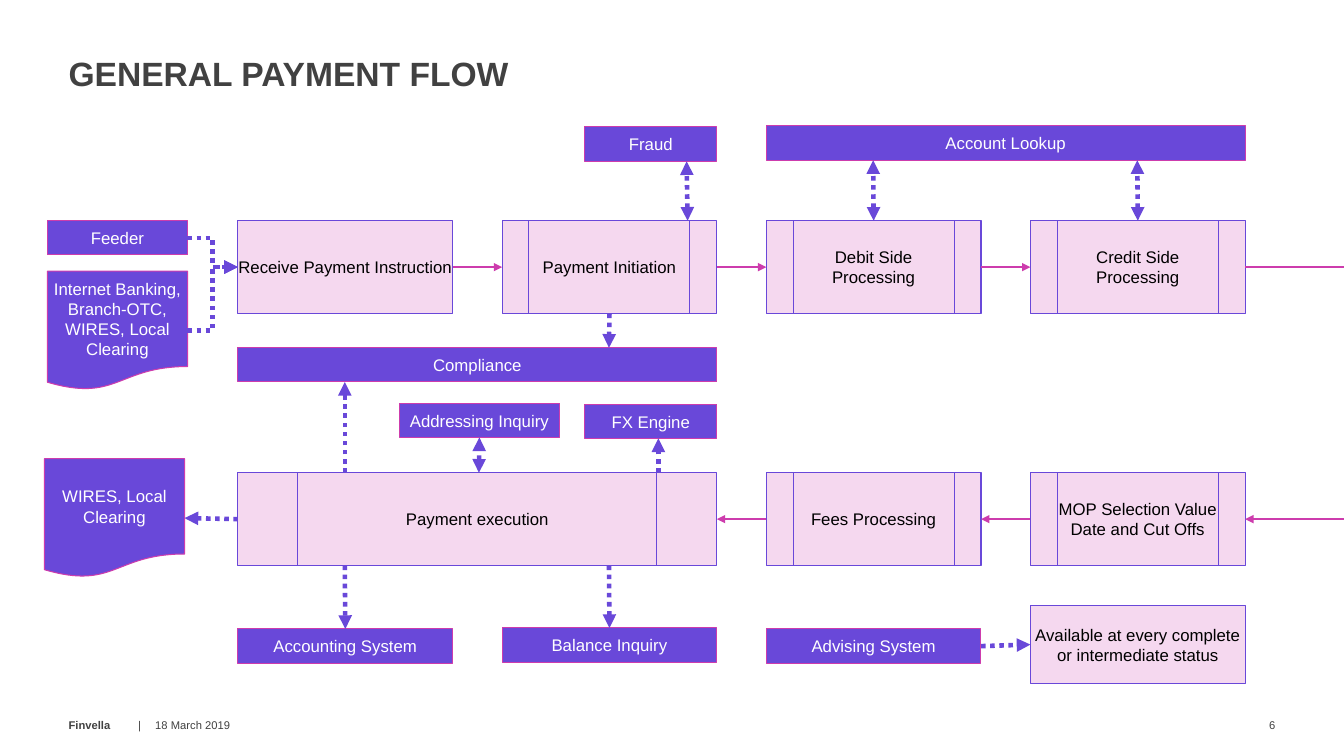
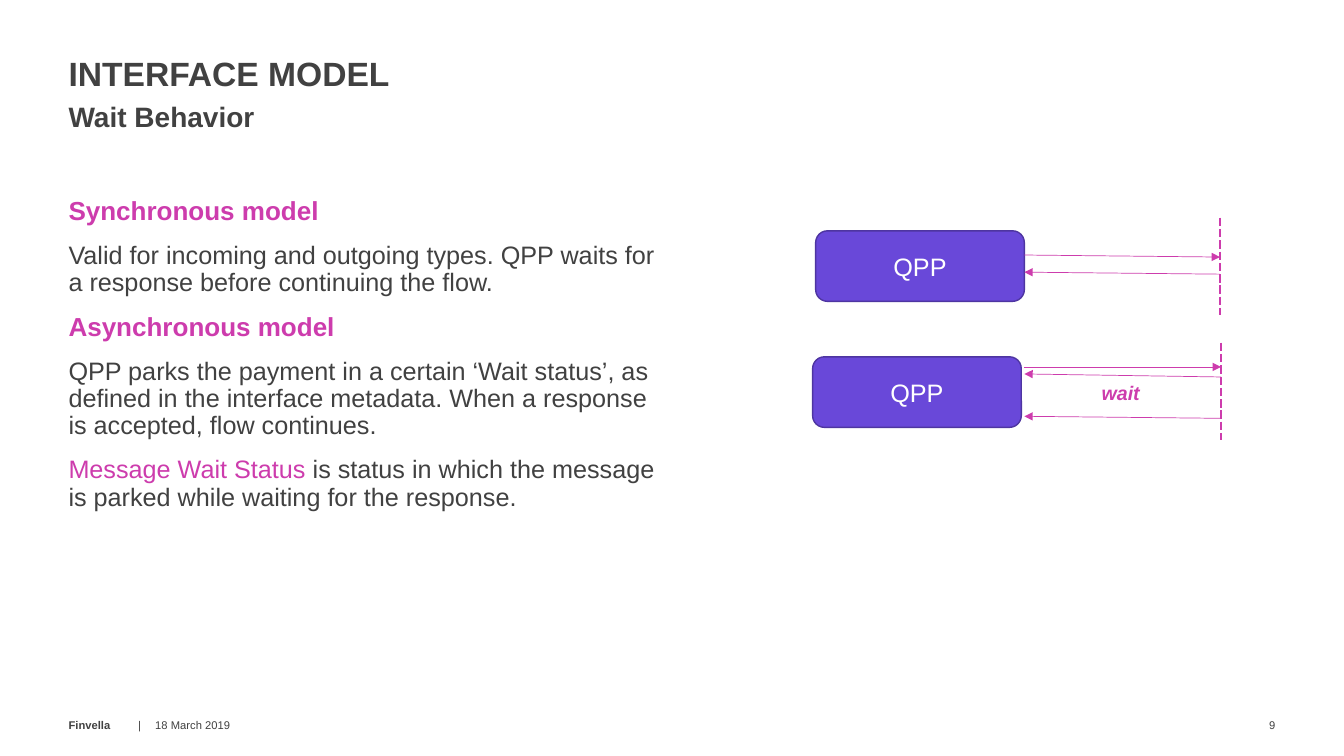
from lxml import etree
from pptx import Presentation
from pptx import util as u
from pptx.dml.color import RGBColor
from pptx.enum import dml, shapes, text
from pptx.oxml.ns import qn

WIDTH, HEIGHT = 13.33, 7.5
FONT = "Arial"
GREY, PURPLE, PINK, PALE = "414141", "6948D9", "CD3CAD", "F5D8EF"
BLACK, WHITE, DEEP = "000000", "FFFFFF", "4E35A1"
MARGIN, FOOTER_TOP = 0.68, 6.99
COMPANY, DATE = "Finvella", "18 March 2019"
TOP, LEFT, BOTTOM, RIGHT = range(4)
SOLID, DOT, DASH = None, dml.MSO_LINE.ROUND_DOT, dml.MSO_LINE.SQUARE_DOT

# Flow grid: four columns, two process rows
FIRST, STEP, BOX_WIDTH = 2.36, 2.62, 2.13
BOX_HEIGHT, BAR_HEIGHT, PAGE_HEIGHT = 0.92, 0.34, 1.18
UPPER, LOWER = 2.19, 4.69
SIDE_WIDTH = 1.39

RECT = shapes.MSO_SHAPE.RECTANGLE
PROCESS = shapes.MSO_SHAPE.FLOWCHART_PREDEFINED_PROCESS
DOCUMENT = shapes.MSO_SHAPE.FLOWCHART_DOCUMENT
ROUNDED = shapes.MSO_SHAPE.ROUNDED_RECTANGLE

# Text, shape, column, columns spanned, top, height
GRID_STEPS = [
    ("Receive Payment Instruction", RECT, 0, 1, UPPER, BOX_HEIGHT),
    ("Payment Initiation", PROCESS, 1, 1, UPPER, BOX_HEIGHT),
    ("Debit Side Processing", PROCESS, 2, 1, UPPER, BOX_HEIGHT),
    ("Credit Side Processing", PROCESS, 3, 1, UPPER, BOX_HEIGHT),
    ("Payment execution", PROCESS, 0, 2, LOWER, BOX_HEIGHT),
    ("Fees Processing", PROCESS, 2, 1, LOWER, BOX_HEIGHT),
    ("MOP Selection Value Date and Cut Offs", PROCESS, 3, 1, LOWER, BOX_HEIGHT),
    ("Available at every complete or intermediate status", RECT, 3, 1, 6.01, 0.77),
]
GRID_BARS = [
    ("Account Lookup", 2, 2, 1.25),
    ("Compliance", 0, 2, 3.45),
    ("Accounting System", 0, 1, 6.24),
    ("Balance Inquiry", 1, 1, 6.23),
    ("Advising System", 2, 1, 6.24),
]
# Text, shape, left, top, width, height
LOOSE_BOXES = [
    ("Fraud", RECT, 5.8, 1.26, 1.31, BAR_HEIGHT),
    ("FX Engine", RECT, 5.8, 4.01, 1.31, BAR_HEIGHT),
    ("Addressing Inquiry", RECT, 3.96, 4, 1.59, BAR_HEIGHT),
    ("Feeder", RECT, 0.47, UPPER, SIDE_WIDTH, BAR_HEIGHT),
    ("Internet Banking, Branch-OTC, WIRES, Local Clearing", DOCUMENT,
     0.47, 2.69, SIDE_WIDTH, PAGE_HEIGHT),
    ("WIRES, Local Clearing", DOCUMENT, 0.44, 4.55, SIDE_WIDTH, PAGE_HEIGHT),
]
# Main sequence: (box, side) to (box, side)
SEQUENCE = [
    (("Receive Payment Instruction", RIGHT), ("Payment Initiation", LEFT)),
    (("Payment Initiation", RIGHT), ("Debit Side Processing", LEFT)),
    (("Debit Side Processing", RIGHT), ("Credit Side Processing", LEFT)),
    (("MOP Selection Value Date and Cut Offs", LEFT), ("Fees Processing", RIGHT)),
    (("Fees Processing", LEFT), ("Payment execution", RIGHT)),
]
# Calls to other systems: start, end, arrowheads; a third value in an end is its x
CALLS = [
    (("Payment Initiation", BOTTOM), ("Compliance", TOP, 6.04), 1),
    (("Credit Side Processing", TOP), ("Account Lookup", BOTTOM, 11.28), 2),
    (("Debit Side Processing", TOP), ("Account Lookup", BOTTOM, 8.66), 2),
    (("Payment Initiation", TOP, 6.82), ("Fraud", BOTTOM, 6.81), 2),
    (("Payment execution", TOP, 6.53), ("FX Engine", BOTTOM, 6.53), 1),
    (("Payment execution", TOP, 3.42), ("Compliance", BOTTOM, 3.42), 1),
    (("Payment execution", TOP, 4.75), ("Addressing Inquiry", BOTTOM), 2),
    (("Payment execution", BOTTOM, 6.04), ("Balance Inquiry", TOP), 1),
    (("Payment execution", BOTTOM, 3.42), ("Accounting System", TOP), 1),
    (("Payment execution", LEFT), ("WIRES, Local Clearing", RIGHT), 1),
    (("Advising System", RIGHT),
     ("Available at every complete or intermediate status", LEFT), 1),
]
SOURCES = ["Internet Banking, Branch-OTC, WIRES, Local Clearing", "Feeder"]

# Paragraphs of (text, colour, bold, size) runs
MODEL_TEXT = [
    [("Synchronous model", PINK, True, 18.6)],
    [("Valid for incoming and outgoing types. QPP waits for a response "
      "before continuing the flow.", GREY, False, 18)],
    [("Asynchronous model", PINK, True, 18.6)],
    [("QPP parks the payment in a certain ‘Wait status’, as defined in the interface "
      "metadata. When a response is accepted, flow continues.", GREY, False, 18)],
    [("Message Wait Status ", PINK, False, 18),
     ("is status in which the message is parked while waiting for the response.",
      GREY, False, 18)],
]
SYSTEM = "QPP"
SYSTEM_EDGE = 10.16
# Box left and top, boundary x and top, messages as (y at box, y at boundary, outgoing)
EXCHANGES = [
    (8.09, 2.29, 12.1, 2.16, [(2.53, 2.55, True), (2.7, 2.72, False)]),
    (8.06, 3.54, 12.11, 3.4,
     [(3.64, 3.64, True), (3.71, 3.74, False), (4.13, 4.15, False)]),
]


def colour(value):
    return RGBColor.from_string(value)


def inches(*values):
    return [u.Inches(value) for value in values]


def style_font(font, size, value, bold=False, italic=False):
    font.name, font.size, font.color.rgb = FONT, u.Pt(size), colour(value)
    font.bold, font.italic = bold, italic


def clear_frame(shape, anchor):
    frame = shape.text_frame
    frame.word_wrap, frame.vertical_anchor = True, anchor
    frame.margin_left = frame.margin_top = frame.margin_right = frame.margin_bottom = 0
    return frame


def add_text(slide, place, content, size, value=GREY, bold=False, italic=False,
             align=text.PP_ALIGN.LEFT, anchor=text.MSO_ANCHOR.TOP, spacing=None):
    frame = clear_frame(slide.shapes.add_textbox(*inches(*place)), anchor)
    paragraph = frame.paragraphs[0]
    paragraph.text, paragraph.alignment, paragraph.line_spacing = content, align, spacing
    style_font(paragraph.font, size, value, bold, italic)
    return paragraph


def add_box(slide, kind, place, label, fill, line, ink, size=12, weight=0.75):
    shape = slide.shapes.add_shape(kind, *inches(*place))
    shape.shadow.inherit = False
    shape.fill.solid()
    shape.fill.fore_color.rgb = colour(fill)
    shape.line.color.rgb, shape.line.width = colour(line), u.Pt(weight)
    paragraph = clear_frame(shape, text.MSO_ANCHOR.MIDDLE).paragraphs[0]
    paragraph.text, paragraph.alignment = label, text.PP_ALIGN.CENTER
    style_font(paragraph.font, size, ink)
    return shape


def add_line(slide, start, end, value, weight, dash=SOLID, heads=1,
             kind=shapes.MSO_CONNECTOR.STRAIGHT):
    """Draw a line with no head, one at its end, or one at each end."""
    connector = slide.shapes.add_connector(kind, *inches(*start, *end))
    connector.line.color.rgb, connector.line.width = colour(value), u.Pt(weight)
    if dash is not SOLID:
        connector.line.dash_style = dash
    outline = connector.line._get_or_add_ln()
    for tag in ([], ["a:tailEnd"], ["a:headEnd", "a:tailEnd"])[heads]:
        etree.SubElement(outline, qn(tag), type="triangle")
    etree.SubElement(connector._element.spPr, qn("a:effectLst"))
    return connector


def side_point(shape, side, x=None):
    left, top, width, height = (
        length.inches for length in (shape.left, shape.top, shape.width, shape.height))
    across, down = ((0.5, 0), (0, 0.5), (0.5, 1), (1, 0.5))[side]
    return (left + across * width if x is None else x), top + down * height


def link(slide, boxes, start, end, *style, **options):
    """Connect two boxes; ends without an x of their own are joined to the box."""
    points = [side_point(boxes[name], *where) for name, *where in (start, end)]
    connector = add_line(slide, *points, *style, **options)
    for join, (name, side, *x) in ((connector.begin_connect, start),
                                   (connector.end_connect, end)):
        if not x:
            join(boxes[name], side)


def new_slide(presentation, title, number):
    slide = presentation.slides.add_slide(presentation.slide_layouts[6])
    add_text(slide, (MARGIN, 0.19, 10.6, 0.73), title, 24, bold=True,
             anchor=text.MSO_ANCHOR.BOTTOM, spacing=0.8)
    for left, width, content, bold, align in (
            (MARGIN, 0.65, COMPANY, True, text.PP_ALIGN.LEFT),
            (MARGIN + 0.69, 0.1, "|", False, text.PP_ALIGN.LEFT),
            (1.54, 1.53, DATE, False, text.PP_ALIGN.LEFT),
            (12.11, 0.54, str(number), False, text.PP_ALIGN.RIGHT)):
        add_text(slide, (left, FOOTER_TOP, width, 0.4), content, 8, bold=bold,
                 align=align, anchor=text.MSO_ANCHOR.MIDDLE)
    return slide


def grid_place(column, span, top, height):
    return FIRST + column * STEP, top, BOX_WIDTH + (span - 1) * STEP, height


def build_flow(presentation):
    slide = new_slide(presentation, "GENERAL PAYMENT FLOW", 6)
    boxes = {}
    for label, kind, *cell in GRID_STEPS:
        boxes[label] = add_box(slide, kind, grid_place(*cell), label, PALE, PURPLE, BLACK)
    systems = [(label, RECT, *grid_place(*cell, BAR_HEIGHT)) for label, *cell in GRID_BARS]
    for label, kind, *place in systems + LOOSE_BOXES:
        boxes[label] = add_box(slide, kind, place, label, PURPLE, PINK, WHITE)

    for start, end in SEQUENCE:
        link(slide, boxes, start, end, PINK, 1)
    for start, end, heads in CALLS:
        link(slide, boxes, start, end, PURPLE, 3.25, DOT, heads)
    for source in SOURCES:
        link(slide, boxes, (source, RIGHT), ("Receive Payment Instruction", LEFT),
             PURPLE, 3.25, DOT, kind=shapes.MSO_CONNECTOR.ELBOW)

    # The sequence leaves the upper row at the slide's edge and returns on the lower row
    credit, selection = boxes["Credit Side Processing"], boxes[SEQUENCE[3][0][0]]
    x, y = side_point(credit, RIGHT)
    add_line(slide, (x, y), (WIDTH, y), PINK, 1, heads=0).begin_connect(credit, RIGHT)
    x, y = side_point(selection, RIGHT)
    add_line(slide, (WIDTH, y), (x, y), PINK, 1).end_connect(selection, RIGHT)


def build_interface(presentation):
    slide = new_slide(presentation, "INTERFACE MODEL", 9)
    add_text(slide, (MARGIN, 1.02, 10.6, 0.29), "Wait Behavior", 20, bold=True, spacing=0.9)

    body = slide.shapes.add_textbox(*inches(MARGIN, 1.96, 5.87, 4.99))
    frame = clear_frame(body, text.MSO_ANCHOR.TOP)
    for index, runs in enumerate(MODEL_TEXT):
        paragraph = frame.add_paragraph() if index else frame.paragraphs[0]
        paragraph.line_spacing, paragraph.space_before = 0.9, u.Pt(12)
        for content, value, bold, size in runs:
            run = paragraph.add_run()
            run.text = content
            style_font(run.font, size, value, bold)

    for left, top, boundary, boundary_top, messages in EXCHANGES:
        add_box(slide, ROUNDED, (left, top, 2.07, 0.7), SYSTEM, PURPLE, DEEP, WHITE, 18, 1)
        add_line(slide, (boundary, boundary_top), (boundary, boundary_top + 0.97),
                 PINK, 2, DASH, heads=0)
        for box_y, boundary_y, outgoing in messages:
            ends = [(boundary, boundary_y), (SYSTEM_EDGE, box_y)]
            add_line(slide, *(reversed(ends) if outgoing else ends), PINK, 0.5)
    add_text(slide, (10.84, 3.78, 0.55, 0.27), "wait", 14, PINK, True, True,
             text.PP_ALIGN.CENTER)


def main():
    presentation = Presentation()
    presentation.slide_width, presentation.slide_height = inches(WIDTH, HEIGHT)
    build_flow(presentation)
    build_interface(presentation)
    presentation.save("out.pptx")


if __name__ == "__main__":
    main()
